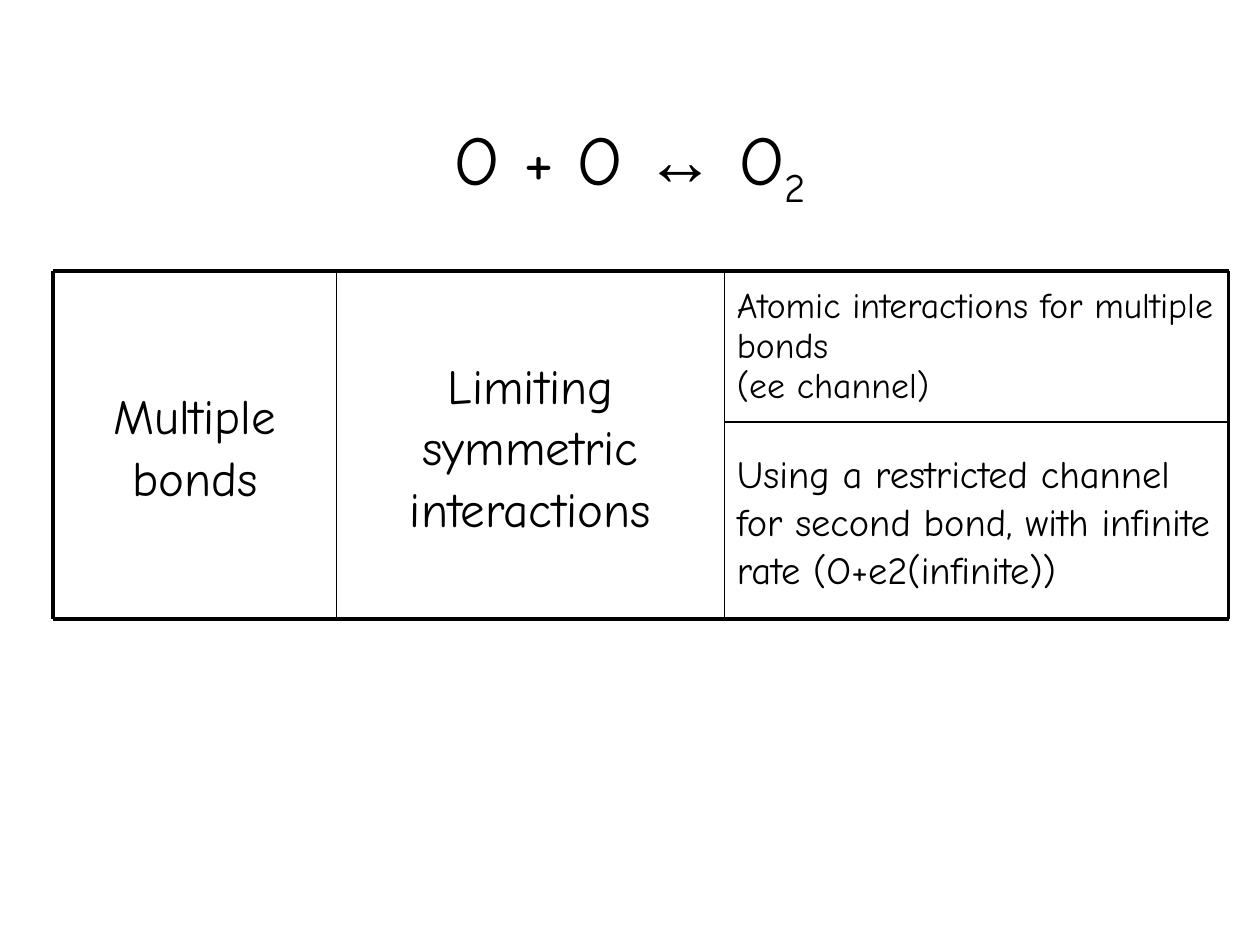
from lxml import etree
from pptx import Presentation
from pptx.dml.color import RGBColor
from pptx.enum.shapes import MSO_CONNECTOR
from pptx.enum.text import MSO_ANCHOR, PP_ALIGN
from pptx.oxml.ns import qn
from pptx.util import Inches, Pt

CENTER = PP_ALIGN.CENTER
LEFT = PP_ALIGN.LEFT
MIDDLE = MSO_ANCHOR.MIDDLE
STRAIGHT = MSO_CONNECTOR.STRAIGHT
BLACK = "000000"
FONT = "Comic Neue"
THICK, THIN = 2.24, 0.99


def add_run(paragraph, text, size, font=FONT):
    run = paragraph.add_run()
    run.text = text
    run.font.size = Pt(size)
    run.font.name = font
    run.font.color.rgb = RGBColor.from_string(BLACK)
    return run


def add_text_box(left, top, right, bottom, alignment):
    shape = slide.shapes.add_textbox(
        Inches(left), Inches(top), Inches(right - left), Inches(bottom - top)
    )
    shape.text_frame.word_wrap = True
    shape.text_frame.vertical_anchor = MIDDLE
    paragraph = shape.text_frame.paragraphs[0]
    paragraph.alignment = alignment
    return paragraph


presentation = Presentation()
presentation.slide_width = Inches(10)
presentation.slide_height = Inches(7.5)
slide = presentation.slides.add_slide(presentation.slide_layouts[6])

equation = add_text_box(0.75, 0.67, 9.25, 1.92, CENTER)
add_run(equation, "O + O ", 40)
add_run(equation, "\u2194", 40, "Arial")
add_run(equation, " O", 40)
subscript = add_run(equation, "2", 40)
subscript.font._element.set("baseline", "-25000")

x0, x1, x2, x3 = 0.42, 2.67, 5.75, 9.75
top, middle, bottom = 2.15, 3.35, 4.91

cells = [
    (x2, middle, x3, bottom,
     ["Using a restricted channel for second bond, with infinite rate (O+e2(infinite))"],
     22, LEFT, 5.5, 1.04),
    (x2, top, x3, middle, ["Atomic interactions for multiple bonds ", "(ee channel)"],
     20.4, LEFT, 5.5, 0.94),
    (x1, top, x2, bottom, ["Limiting symmetric interactions"], 28, CENTER, 7, 1.05),
    (x0, top, x1, bottom, ["Multiple bonds"], 28, CENTER, 7, 1.05),
]
for *box, lines, size, alignment, space_before, line_spacing in cells:
    paragraph = add_text_box(*box, alignment)
    paragraph.space_before = Pt(space_before)
    paragraph.line_spacing = line_spacing
    for index, line in enumerate(lines):
        if index:
            paragraph.add_line_break()
        add_run(paragraph, line, size)

rules = [
    (x0, top, x3, top, THICK),
    (x0, bottom, x3, bottom, THICK),
    (x0, top, x0, bottom, THICK),
    (x1, top, x1, bottom, THIN),
    (x2, top, x2, bottom, THIN),
    (x3, top, x3, bottom, THICK),
    (x2, middle, x3, middle, THIN),
]
for *ends, width in rules:
    connector = slide.shapes.add_connector(STRAIGHT, *map(Inches, ends))
    connector.line.width = Pt(width)
    connector.line.color.rgb = RGBColor.from_string(BLACK)
    etree.SubElement(connector._element.spPr, qn("a:effectLst"))

presentation.save("out.pptx")
